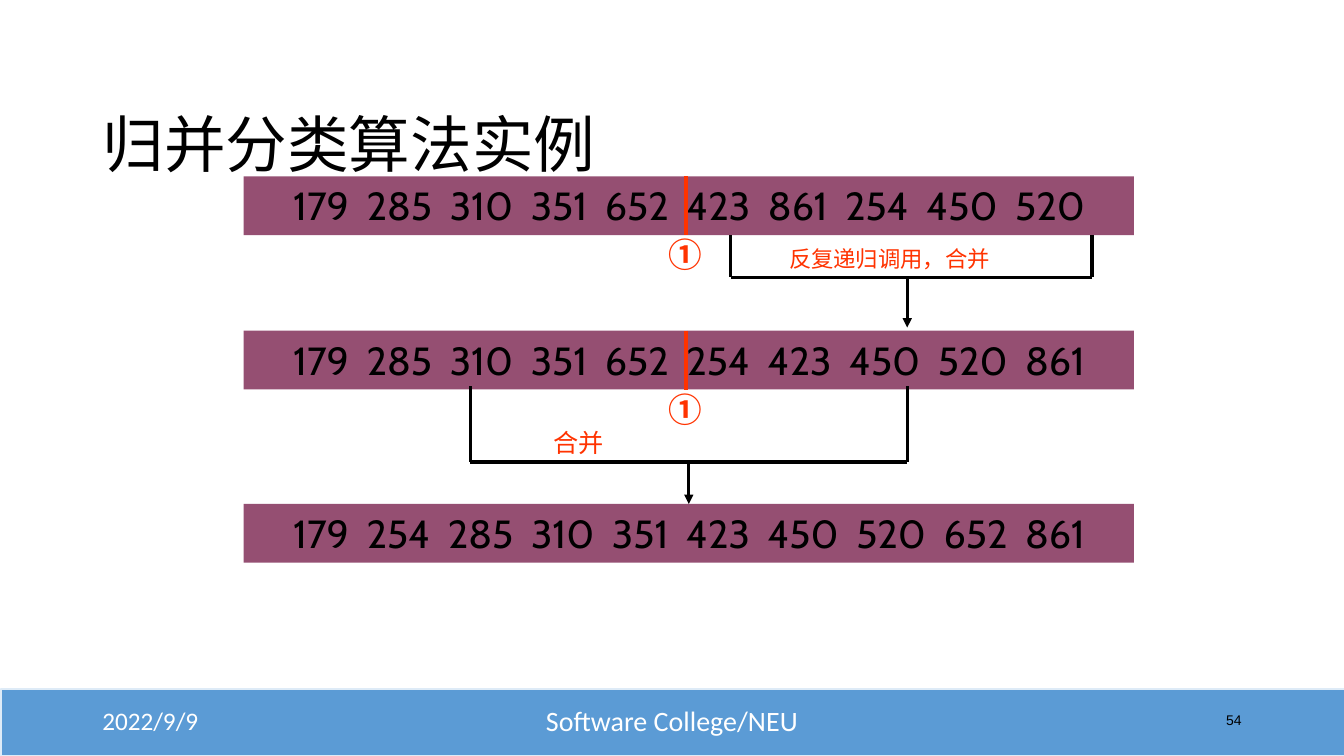
from dataclasses import dataclass

from lxml.etree import SubElement
from pptx import Presentation
from pptx.dml.color import RGBColor
from pptx.enum.shapes import MSO_CONNECTOR as Connector, MSO_SHAPE as Shape
from pptx.enum.text import MSO_ANCHOR as Anchor, PP_ALIGN as Align
from pptx.oxml.ns import qn
from pptx.util import Pt

EMU_PER_PX = 9525


@dataclass(frozen=True)
class Theme:
    band: str = "5B9BD5"
    band_line: str = "DEEBF7"
    bar: str = "954F72"
    accent: str = "FF3300"
    ink: str = "000000"
    paper: str = "FFFFFF"
    heading_font: str = "Calibri"
    body_font: str = "Cabin"
    number_font: str = "Arial"
    chinese_font: str = "Noto Sans CJK SC"
    title_size: int = 44
    values_size: int = 28
    mark_size: int = 24
    footer_size: int = 20
    label_size: int = 18
    small_label_size: int = 16
    number_size: int = 10


THEME = Theme()

BAR_LEFT, BAR_WIDTH, BAR_HEIGHT = 232, 848, 56
SPLIT_X = 653
FOOTER_TOP, FOOTER_HEIGHT = 667, 38


def px(*lengths):
    return [length * EMU_PER_PX for length in lengths]


def color(code):
    return RGBColor.from_string(code)


def write(shape, text, size, font=THEME.body_font, ink=THEME.ink, bold=False,
          align=Align.LEFT, anchor=Anchor.TOP, wrap=True, side_inset=None, end_inset=None,
          line_spacing=None):
    """Put one formatted paragraph in a shape; insets are in px."""
    frame = shape.text_frame
    frame.word_wrap = wrap
    frame.vertical_anchor = anchor
    if side_inset is not None:
        frame.margin_left, frame.margin_right = px(side_inset, side_inset)
    if end_inset is not None:
        frame.margin_top, frame.margin_bottom = px(end_inset, end_inset)
    para = frame.paragraphs[0]
    para.alignment = align
    para.line_spacing = line_spacing
    span = para.add_run()
    span.text = text
    span.font.name = font
    span.font.size = Pt(size)
    span.font.bold = bold
    span.font.color.rgb = color(ink)
    SubElement(span.font._element, qn("a:ea"), typeface=THEME.chinese_font)


def add_text(slide, place, text, size, **style):
    box = slide.shapes.add_textbox(*px(*place))
    write(box, text, size, **style)


def add_block(slide, place, fill, line=None):
    block = slide.shapes.add_shape(Shape.RECTANGLE, *px(*place))
    block.shadow.inherit = False
    block.fill.solid()
    block.fill.fore_color.rgb = color(fill)
    if line:
        block.line.color.rgb = color(line)
        block.line.width = Pt(1)
    else:
        block.line.fill.background()
    return block


def add_line(slide, start, end, ink=THEME.ink, width=2.25, arrow=False):
    line = slide.shapes.add_connector(Connector.STRAIGHT, *px(*start, *end))
    line.line.color.rgb = color(ink)
    line.line.width = Pt(width)
    if arrow:
        SubElement(line.line._get_or_add_ln(), qn("a:tailEnd"), type="triangle")
    SubElement(line._element.spPr, qn("a:effectLst"))
    return line


def add_values_bar(slide, top, values):
    bar = add_block(slide, (BAR_LEFT, top, BAR_WIDTH, BAR_HEIGHT), THEME.bar)
    write(bar, "  ".join(map(str, values)), THEME.values_size,
          align=Align.CENTER, side_inset=0, end_inset=5)
    return bar


def add_split(slide, top):
    """Mark where a bar is divided into two halves."""
    add_line(slide, (SPLIT_X, top), (SPLIT_X, top + BAR_HEIGHT), THEME.accent, 3)
    add_text(slide, (SPLIT_X - 16, top + 55, 32, 38), "①", THEME.mark_size,
             font=THEME.chinese_font, ink=THEME.accent, bold=True,
             wrap=False, side_inset=0, end_inset=0)


def add_merge_bracket(slide, left, right, top, bottom, stem_x, tip_y):
    """Draw an open bracket and return the arrow that leaves it."""
    corners = [(left, top), (left, bottom), (right, bottom), (right, top)]
    for start, end in zip(corners, corners[1:]):
        add_line(slide, start, end)
    return add_line(slide, (stem_x, bottom), (stem_x, tip_y), arrow=True)


def add_footer(slide):
    add_block(slide, (1, 656, 1280, 64), THEME.band, THEME.band_line)
    entries = [
        (88, 288, "2022/9/9", THEME.label_size, THEME.heading_font, THEME.paper, Align.LEFT),
        (424, 432, "Software College/NEU", THEME.footer_size, THEME.heading_font,
         THEME.paper, Align.CENTER),
        (904, 288, "54", THEME.number_size, THEME.number_font, THEME.ink, Align.RIGHT),
    ]
    for left, width, text, size, font, ink, align in entries:
        add_text(slide, (left, FOOTER_TOP, width, FOOTER_HEIGHT), text, size,
                 font=font, ink=ink, align=align, anchor=Anchor.MIDDLE)


def add_title(slide, text):
    title = slide.shapes.title
    title.left, title.top, title.width, title.height = px(88, 38, 1104, 139)
    write(title, text, THEME.title_size, font=THEME.heading_font,
          anchor=Anchor.BOTTOM, line_spacing=0.9)


def main():
    deck = Presentation()
    deck.slide_width, deck.slide_height = px(1280, 720)
    slide = deck.slides.add_slide(deck.slide_layouts.get_by_name("Title Only"))

    add_footer(slide)
    add_title(slide, "归并分类算法实例")

    left_half = [179, 285, 310, 351, 652]
    right_half = [423, 861, 254, 450, 520]
    for top, values in [(168, left_half + right_half), (315, left_half + sorted(right_half))]:
        add_values_bar(slide, top, values)
        add_split(slide, top)
    merged_bar = add_values_bar(slide, 480, sorted(left_half + right_half))

    add_merge_bracket(slide, 696, 1040, 224, 264, 864, 312)
    add_text(slide, (742, 229, 211, 36), "反复递归调用，合并", THEME.small_label_size,
             ink=THEME.accent, wrap=False)

    merge_arrow = add_merge_bracket(slide, 448, 864, 368, 440, 656, 480)
    merge_arrow.end_connect(merged_bar, 0)
    add_text(slide, (518, 402, 67, 38), "合并", THEME.label_size,
             ink=THEME.accent, wrap=False)

    deck.save("out.pptx")


if __name__ == "__main__":
    main()
